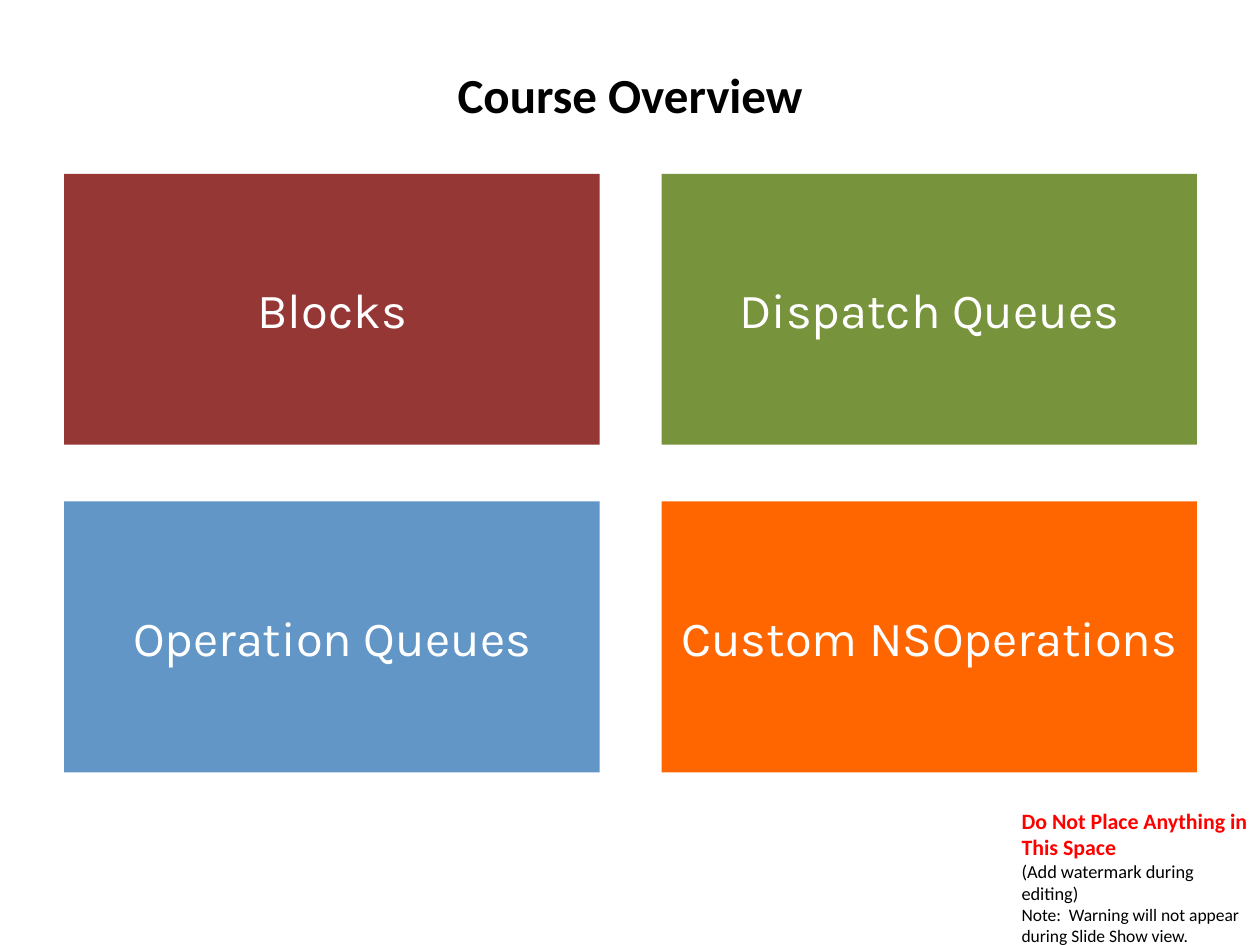
from pptx import Presentation
from pptx.dml.color import RGBColor
from pptx.enum.shapes import MSO_SHAPE
from pptx.enum.text import MSO_ANCHOR, PP_ALIGN
from pptx.oxml.ns import qn
from pptx.util import Inches, Pt
from lxml import etree

COLORS = {
    "black": "000000", "white": "FFFFFF", "warning": "FF0000",
    "blocks": "953735", "dispatch": "77933C",
    "operation": "6296C7", "custom": "FF6600",
}


def style_font(paragraph, name, size, color, bold=False):
    font = paragraph.font
    font.name, font.size, font.bold = name, Pt(size), bold
    font.color.rgb = RGBColor.from_string(COLORS[color])


def add_box(slide, left, top, width, height, fill):
    shape = slide.shapes.add_shape(
        MSO_SHAPE.RECTANGLE, Inches(left), Inches(top), Inches(width), Inches(height))
    shape.shadow.inherit = False
    shape.fill.solid()
    shape.fill.fore_color.rgb = RGBColor.from_string(COLORS[fill])
    shape.line.fill.background()
    return shape


def add_warning(slide, left, top, width, height):
    shape = add_box(slide, left, top, width, height, "white")
    color = shape.fill._xPr.find(qn("a:solidFill"))[0]
    etree.SubElement(color, qn("a:alpha"), val="65000")
    frame = shape.text_frame
    frame.word_wrap = True
    frame.vertical_anchor = MSO_ANCHOR.TOP
    lines = [
        ("Do Not Place Anything in This Space", 12.5, "warning", True),
        ("(Add watermark during editing)", 10.5, "black", False),
        ("Note:  Warning will not appear during Slide Show view.", 10, "black", False),
    ]
    frame.text = "\n".join(line[0] for line in lines)
    for paragraph, (_, size, color, bold) in zip(frame.paragraphs, lines):
        paragraph.alignment = PP_ALIGN.LEFT
        style_font(paragraph, "Calibri", size, color, bold)


def set_title(slide, text, left, top, width, height):
    title = slide.shapes.title
    title.left, title.top = Inches(left), Inches(top)
    title.width, title.height = Inches(width), Inches(height)
    title.text_frame.text = text
    title.text_frame.vertical_anchor = MSO_ANCHOR.MIDDLE
    paragraph = title.text_frame.paragraphs[0]
    paragraph.alignment = PP_ALIGN.CENTER
    style_font(paragraph, "Calibri", 28, "black", True)


def add_topic_grid(slide, topics, left, top, width, height, gap_x, gap_y):
    for index, (text, fill) in enumerate(topics):
        row, column = divmod(index, 2)
        shape = add_box(slide, left + column * (width + gap_x),
                        top + row * (height + gap_y), width, height, fill)
        frame = shape.text_frame
        frame.text = text
        frame.word_wrap = False
        frame.vertical_anchor = MSO_ANCHOR.MIDDLE
        paragraph = frame.paragraphs[0]
        paragraph.alignment = PP_ALIGN.CENTER
        style_font(paragraph, "Karla", 28, "white")


presentation = Presentation()
presentation.slide_width, presentation.slide_height = Inches(10), Inches(7.5)
slide = presentation.slides.add_slide(presentation.slide_layouts[5])

# Corner warning, behind everything else
add_warning(slide, 8.01, 6.36, 2, 1.21)

# Title
set_title(slide, "Course Overview", 0.5, 0.33, 9, 0.83)

# Course topics, two by two
add_topic_grid(slide, [
    ("Blocks", "blocks"), ("Dispatch Queues", "dispatch"),
    ("Operation Queues", "operation"), ("Custom NSOperations", "custom"),
], left=0.51, top=1.38, width=4.25, height=2.15, gap_x=0.49, gap_y=0.45)

presentation.save("out.pptx")
